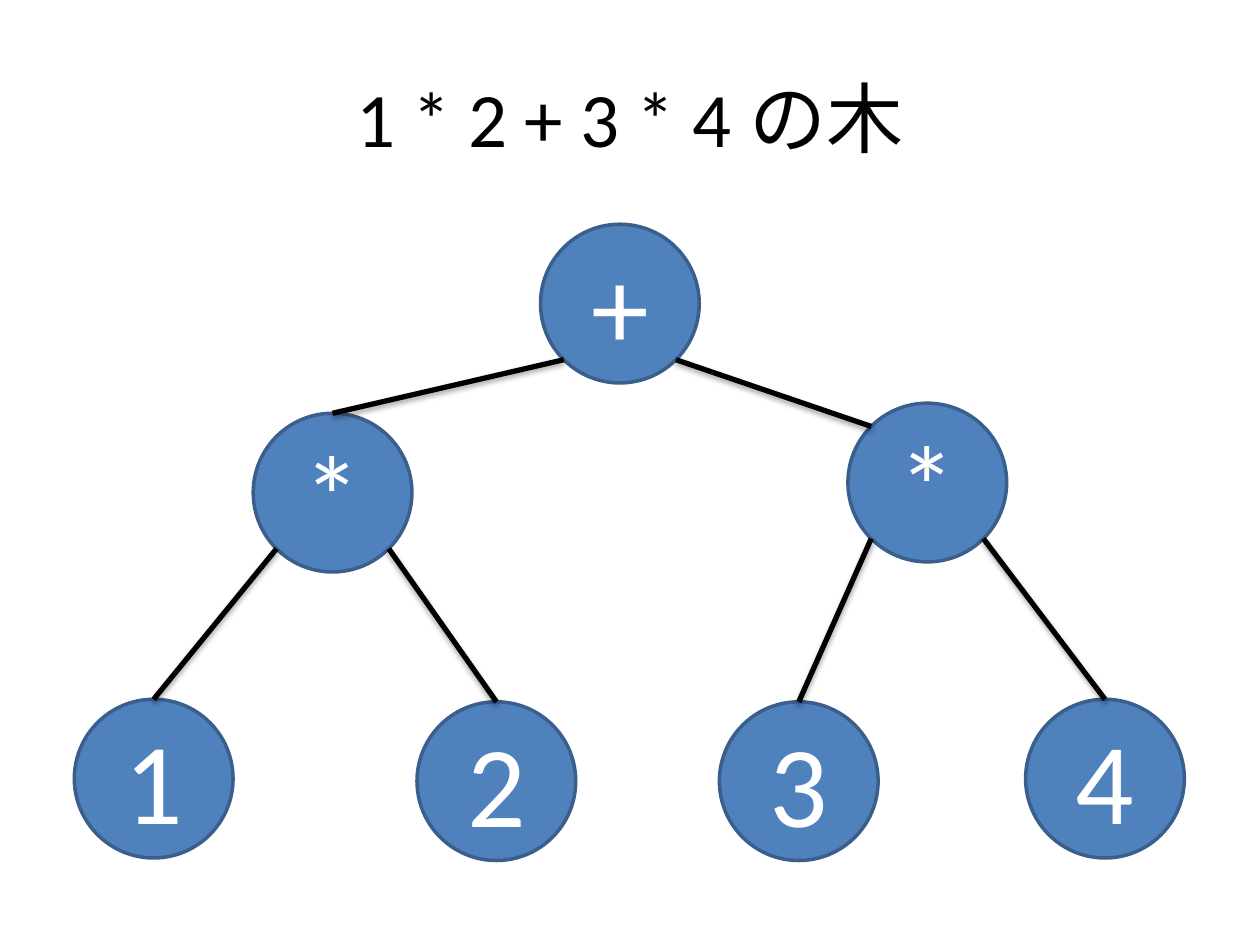
from math import sqrt

from lxml import etree
from pptx import Presentation
from pptx.dml.color import RGBColor
from pptx.enum import shapes, text
from pptx.oxml import ns
from pptx.util import Inches, Pt

TITLE = "1 * 2 + 3 * 4 の木"
FONT = "Calibri"
BLACK = RGBColor(0x00, 0x00, 0x00)
WHITE = RGBColor(0xFF, 0xFF, 0xFF)
BLUE = RGBColor(0x4F, 0x81, 0xBD)
DARK_BLUE = RGBColor(0x3A, 0x5F, 0x8C)

DIAMETER = 1.26
# node name: (label, left, top)
NODES = {
    "one": ("1", 0.59, 5.55),
    "right product": ("*", 6.73, 3.2),
    "left product": ("*", 2.01, 3.28),
    "sum": ("+", 4.29, 1.78),
    "four": ("4", 8.14, 5.55),
    "three": ("3", 5.71, 5.57),
    "two": ("2", 3.31, 5.57),
}
# parent, side it leaves from, child, side it arrives at
EDGES = [
    ("sum", "bottom left", "left product", "top"),
    ("left product", "bottom left", "one", "top"),
    ("left product", "bottom right", "two", "top"),
    ("sum", "bottom right", "right product", "top left"),
    ("right product", "bottom left", "three", "top"),
    ("right product", "bottom right", "four", "top"),
]
DIAGONAL = 1 / sqrt(2)
# offsets from the centre, in radii
SIDES = {
    "top": (0, -1),
    "top left": (-DIAGONAL, -DIAGONAL),
    "bottom left": (-DIAGONAL, DIAGONAL),
    "bottom right": (DIAGONAL, DIAGONAL),
}
SHADOW = (
    f'<a:effectLst {ns.nsdecls("a")}>'
    '<a:outerShdw blurRad="40000" dist="23000" dir="5400000" rotWithShape="0">'
    '<a:srgbClr val="000000"><a:alpha val="35000"/></a:srgbClr>'
    "</a:outerShdw></a:effectLst>"
)


def write(shape, words, *, size, color):
    frame = shape.text_frame
    frame.word_wrap = True
    frame.vertical_anchor = text.MSO_ANCHOR.MIDDLE
    para = frame.paragraphs[0]
    para.alignment = text.PP_ALIGN.CENTER
    span = para.add_run()
    span.text = words
    span.font.name = FONT
    span.font.size = Pt(size)
    span.font.color.rgb = color


def add_node(page, label, left, top):
    circle = page.shapes.add_shape(
        shapes.MSO_SHAPE.OVAL,
        Inches(left), Inches(top), Inches(DIAMETER), Inches(DIAMETER),
    )
    circle.shadow.inherit = False
    circle.fill.solid()
    circle.fill.fore_color.rgb = BLUE
    circle.line.color.rgb = DARK_BLUE
    circle.line.width = Pt(2)
    write(circle, label, size=66, color=WHITE)


def rim_point(node, side):
    _, left, top = NODES[node]
    radius = DIAMETER / 2
    across, down = SIDES[side]
    return Inches(left + radius * (1 + across)), Inches(top + radius * (1 + down))


def add_edge(page, parent, leave, child, arrive):
    edge = page.shapes.add_connector(
        shapes.MSO_CONNECTOR.STRAIGHT,
        *rim_point(parent, leave), *rim_point(child, arrive),
    )
    edge.line.color.rgb = BLACK
    edge.line.width = Pt(3)
    edge._element.spPr.append(etree.fromstring(SHADOW))


def main():
    deck = Presentation()
    deck.slide_width, deck.slide_height = Inches(10), Inches(7.5)
    page = deck.slides.add_slide(deck.slide_layouts[5])

    title = page.shapes.title
    title.left, title.top = Inches(0.5), Inches(0.3)
    title.width, title.height = Inches(9), Inches(1.25)
    write(title, TITLE, size=44, color=BLACK)

    for node in NODES.values():
        add_node(page, *node)
    for edge in EDGES:
        add_edge(page, *edge)
    deck.save("out.pptx")


if __name__ == "__main__":
    main()
